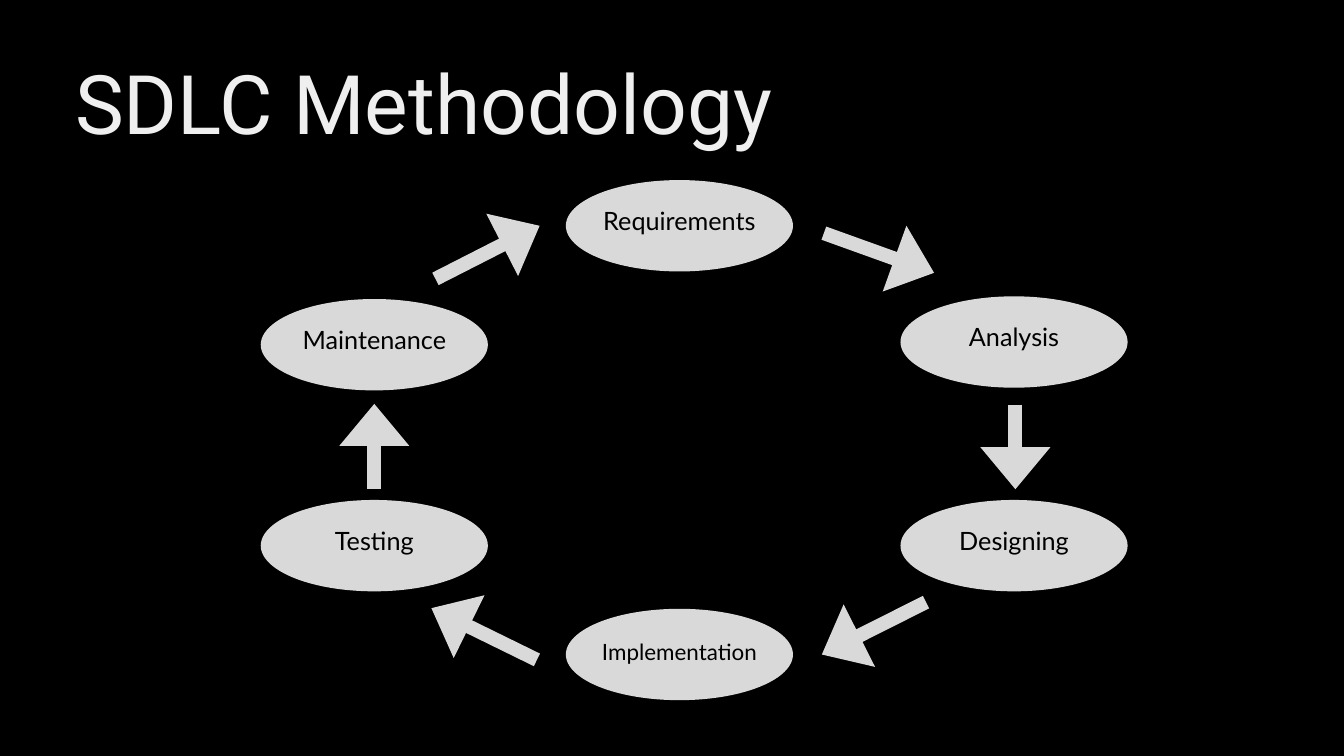
from lxml import etree
from pptx import Presentation
from pptx.dml.color import RGBColor
from pptx.enum.shapes import MSO_CONNECTOR, MSO_SHAPE
from pptx.enum.text import MSO_ANCHOR, PP_ALIGN
from pptx.oxml.ns import qn
from pptx.util import Inches, Pt

TITLE = "SDLC Methodology"
# label, centre x, centre y, type size, lift of the text above the centre
PHASES = [
    ("Requirements", 10.11, 3.36, 27, 0.12),
    ("Analysis", 15.09, 5.09, 27, 0.12),
    ("Designing", 15.09, 8.12, 27, 0.12),
    ("Implementation", 10.11, 9.74, 24, 0.08),
    ("Testing", 5.57, 8.12, 27, 0.12),
    ("Maintenance", 5.57, 5.13, 27, 0.12),
]
# start and end of each step, clockwise from Requirements
ARROWS = [
    ((12.26, 3.47), (13.9, 4.06)),
    ((15.11, 6.02), (15.11, 7.28)),
    ((13.78, 8.96), (12.23, 9.74)),
    ((7.99, 9.82), (6.42, 9.05)),
    ((5.57, 7.27), (5.57, 6.01)),
    ((6.48, 4.15), (8.03, 3.36)),
]
OVAL_W, OVAL_H = 3.38, 1.36
THEME = {
    "background": RGBColor.from_string("000000"),
    "title": RGBColor.from_string("EFEFEF"),
    "shape": RGBColor.from_string("D9D9D9"),
    "label": RGBColor.from_string("000000"),
    "title_font": "Roboto",
    "label_font": "Lato",
    "title_size": 88,
    "arrow_width": 15,
}


def set_text(tf, text, font, size, color, align, spacing):
    tf.margin_left = tf.margin_right = tf.margin_top = 0
    p = tf.paragraphs[0]
    p.text = text
    p.alignment = align
    p.line_spacing = Pt(size * spacing)
    p.font.name = font
    p.font.size = Pt(size)
    p.font.color.rgb = color


def add_title(slide):
    sp = slide.shapes.title
    sp.left, sp.top, sp.width, sp.height = map(Inches, (1.12, 0.78, 17.5, 1.69))
    tf = sp.text_frame
    tf.vertical_anchor = MSO_ANCHOR.TOP
    tf.margin_bottom = 0
    set_text(tf, TITLE, THEME["title_font"], THEME["title_size"],
             THEME["title"], PP_ALIGN.LEFT, 1.2)


def add_phase(slide, label, cx, cy, size, lift):
    sp = slide.shapes.add_shape(
        MSO_SHAPE.OVAL, Inches(cx - OVAL_W / 2), Inches(cy - OVAL_H / 2),
        Inches(OVAL_W), Inches(OVAL_H))
    sp.shadow.inherit = False
    sp.fill.solid()
    sp.fill.fore_color.rgb = THEME["shape"]
    sp.line.fill.background()
    tf = sp.text_frame
    tf.word_wrap = False
    tf.vertical_anchor = MSO_ANCHOR.MIDDLE
    tf.margin_bottom = Inches(2 * lift)
    set_text(tf, label, THEME["label_font"], size, THEME["label"],
             PP_ALIGN.CENTER, 1.4)


def add_arrow(slide, start, end):
    line = slide.shapes.add_connector(
        MSO_CONNECTOR.STRAIGHT, *map(Inches, start + end))
    line.line.color.rgb = THEME["shape"]
    line.line.width = Pt(THEME["arrow_width"])
    etree.SubElement(line.line._get_or_add_ln(), qn("a:tailEnd"),
                     type="triangle", w="lg", len="med")
    etree.SubElement(line._element.spPr, qn("a:effectLst"))


def main():
    prs = Presentation()
    prs.slide_width, prs.slide_height = Inches(20), Inches(11.25)
    slide = prs.slides.add_slide(prs.slide_layouts[5])
    slide.background.fill.solid()
    slide.background.fill.fore_color.rgb = THEME["background"]
    add_title(slide)
    for phase in PHASES:
        add_phase(slide, *phase)
    for start, end in ARROWS:
        add_arrow(slide, start, end)
    prs.save("out.pptx")


if __name__ == "__main__":
    main()
